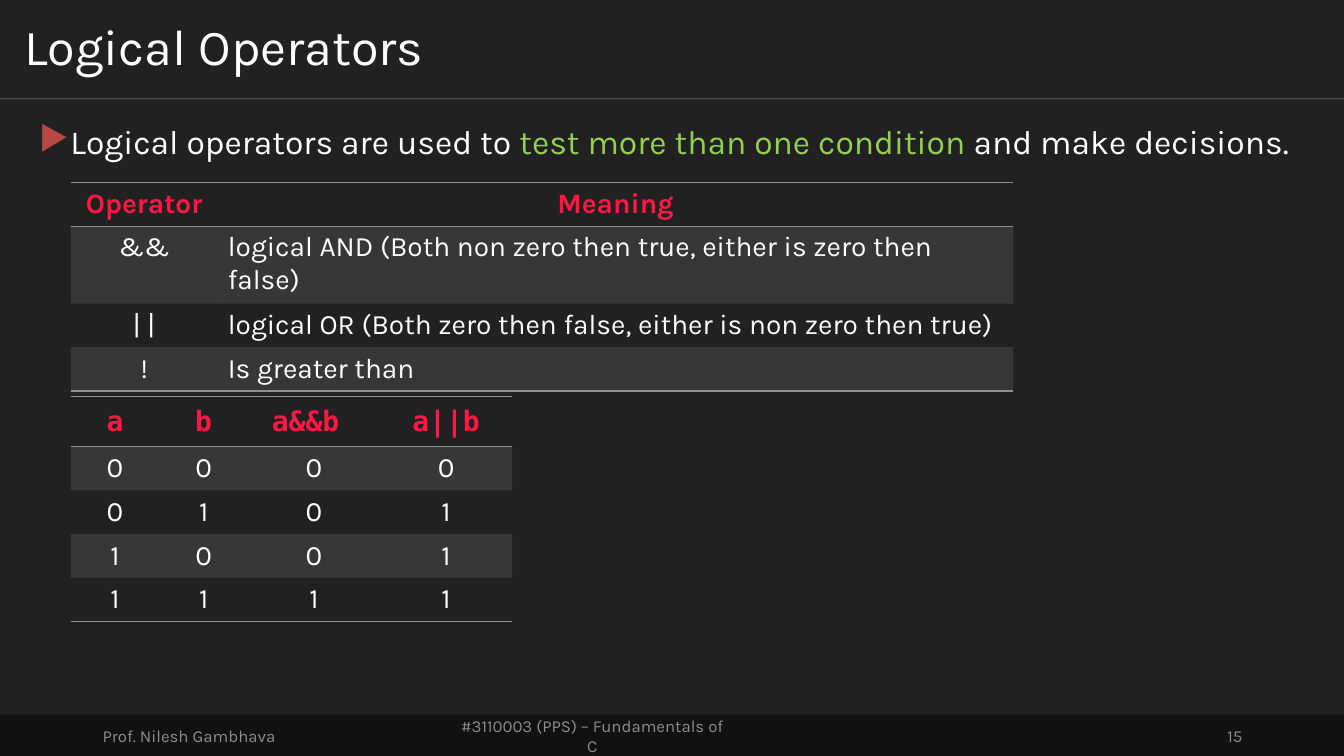
"""Build the Logical Operators slide with its meaning table and truth table."""
from dataclasses import dataclass

from lxml import etree
from pptx import Presentation
from pptx.dml.color import RGBColor
from pptx.enum.shapes import MSO_CONNECTOR, MSO_SHAPE
from pptx.enum.text import MSO_ANCHOR, PP_ALIGN
from pptx.oxml.ns import qn
from pptx.util import Pt

PX = 9144
SLIDE_W, SLIDE_H = 1333, 750
TITLE_H = 98
TITLE_ONLY = 5
BODY_FONT, CODE_FONT = "Karla", "DejaVu Sans Mono"
NO_STYLE_NO_GRID = "{2D5ABB26-0587-4C30-8999-92F81FD0307C}"

WHITE = RGBColor(0xFF, 0xFF, 0xFF)
BACKDROP = RGBColor(0x21, 0x21, 0x21)
FOOTER_BAND = RGBColor(0x11, 0x11, 0x11)
FOOTER_TEXT = RGBColor(0x8D, 0x8D, 0x8D)
HIGHLIGHT = RGBColor(0x92, 0xD0, 0x50)
BULLET = RGBColor(0xB8, 0x47, 0x42)
HEADING = RGBColor(0xFF, 0x17, 0x44)
RULE = RGBColor(0x90, 0x90, 0x90)

LEFT, CENTER, RIGHT, JUSTIFY = PP_ALIGN.LEFT, PP_ALIGN.CENTER, PP_ALIGN.RIGHT, PP_ALIGN.JUSTIFY
TOP, MIDDLE = MSO_ANCHOR.TOP, MSO_ANCHOR.MIDDLE
STRAIGHT, RECTANGLE = MSO_CONNECTOR.STRAIGHT, MSO_SHAPE.RECTANGLE


@dataclass
class Footer:
    text: str
    left: int
    width: int
    align: PP_ALIGN


@dataclass
class Grid:
    left: int
    top: int
    columns: list[int]
    heights: list[int]
    aligns: list[PP_ALIGN]
    anchor: MSO_ANCHOR
    heading_font: str
    rows: list[list[str]]


FOOTERS = [
    Footer("Prof. Nilesh Gambhava", 92, 300, LEFT),
    Footer("#3110003 (PPS) – Fundamentals of C", 442, 291, CENTER),
    Footer("15", 942, 300, RIGHT),
]

STATEMENT = [
    ("Logical operators are used to ", WHITE),
    ("test more than one condition ", HIGHLIGHT),
    ("and make decisions.", WHITE),
]

MEANINGS = Grid(70, 181, [146, 789], [41] * 4, [CENTER, LEFT], TOP, BODY_FONT, [
    ["Operator", "Meaning"],
    ["&&", "logical AND (Both non zero then true, either is zero then false)"],
    ["| |", "logical OR (Both zero then false, either is non zero then true)"],
    ["!", "Is greater than"],
])

TRUTH = Grid(70, 393, [88, 88, 131, 131], [50] + [43] * 4, [CENTER] * 4, MIDDLE, CODE_FONT, [
    ["a", "b", "a&&b ", "a||b"],
    *([str(a), str(b), str(a & b), str(a | b)] for a in (0, 1) for b in (0, 1)),
])


def format_run(run, size: int, color: RGBColor, font: str = BODY_FONT, bold: bool = False) -> None:
    run.font.size = Pt(size)
    run.font.name = font
    run.font.bold = bold
    run.font.color.rgb = color


def set_alpha(properties, percent: int) -> None:
    color = next(properties.iter(qn("a:srgbClr")))
    etree.SubElement(color, qn("a:alpha"), val=str(percent * 1000))


def add_border(cell_properties, side: str, position: int) -> None:
    border = etree.Element(qn(f"a:{side}"), w=str(Pt(1)))
    fill = etree.SubElement(border, qn("a:solidFill"))
    etree.SubElement(fill, qn("a:srgbClr"), val=str(RULE))
    cell_properties.insert(position, border)


def add_title(slide) -> None:
    title = slide.shapes.title
    title.left, title.top, title.width, title.height = 0, 0, SLIDE_W * PX, TITLE_H * PX
    frame = title.text_frame
    frame.text = "Logical Operators"
    frame.vertical_anchor = MIDDLE
    frame.margin_left = frame.margin_right = 24 * PX
    frame.margin_top = frame.margin_bottom = 12 * PX
    heading = frame.paragraphs[0]
    heading.alignment = LEFT
    heading.line_spacing = 0.9
    format_run(heading.runs[0], 36, WHITE)
    divider = slide.shapes.add_connector(STRAIGHT, 0, TITLE_H * PX, SLIDE_W * PX, TITLE_H * PX)
    divider.line.width = Pt(0.5)
    divider.line.color.rgb = WHITE
    divider_properties = divider.element.find(qn("p:spPr"))
    set_alpha(divider_properties, 30)
    etree.SubElement(divider_properties, qn("a:effectLst"))


def add_footer_band(slide) -> None:
    band = slide.shapes.add_shape(RECTANGLE, 0, 709 * PX, SLIDE_W * PX, 41 * PX)
    band.shadow.inherit = False
    band.fill.solid()
    band.fill.fore_color.rgb = FOOTER_BAND
    band.line.fill.background()


def add_footer(slide, footer: Footer) -> None:
    frame = slide.shapes.add_textbox(footer.left * PX, 710 * PX, footer.width * PX, 40 * PX).text_frame
    frame.word_wrap = True
    frame.vertical_anchor = MIDDLE
    frame.text = footer.text
    frame.paragraphs[0].alignment = footer.align
    format_run(frame.paragraphs[0].runs[0], 12, FOOTER_TEXT)


def add_statement(slide) -> None:
    frame = slide.shapes.add_textbox(29 * PX, 120 * PX, 1276 * PX, 571 * PX).text_frame
    frame.word_wrap = True
    statement = frame.paragraphs[0]
    statement.alignment = JUSTIFY
    statement.line_spacing = 0.9
    statement.space_before = Pt(10)
    for text, color in STATEMENT:
        run = statement.add_run()
        run.text = text
        format_run(run, 24, color)
    properties = statement._p.get_or_add_pPr()
    properties.set("marL", str(29 * PX))
    properties.set("indent", str(-29 * PX))
    bullet_color = etree.SubElement(properties, qn("a:buClr"))
    etree.SubElement(bullet_color, qn("a:srgbClr"), val=str(BULLET))
    etree.SubElement(properties, qn("a:buChar"), char="▶")


def add_grid(slide, grid: Grid) -> None:
    frame = slide.shapes.add_table(
        len(grid.rows), len(grid.columns), grid.left * PX, grid.top * PX,
        sum(grid.columns) * PX, sum(grid.heights) * PX)
    next(frame.element.iter(qn("a:tableStyleId"))).text = NO_STYLE_NO_GRID
    table = frame.table
    for column, width in zip(table.columns, grid.columns):
        column.width = width * PX
    last = len(grid.rows) - 1
    for r, (row, height) in enumerate(zip(grid.rows, grid.heights)):
        table.rows[r].height = height * PX
        is_heading = r == 0
        for c, text in enumerate(row):
            cell = table.cell(r, c)
            cell.text = text
            cell.vertical_anchor = grid.anchor
            paragraph = cell.text_frame.paragraphs[0]
            paragraph.alignment = CENTER if is_heading else grid.aligns[c]
            format_run(paragraph.runs[0], 20, HEADING if is_heading else WHITE,
                       grid.heading_font if is_heading else BODY_FONT, is_heading)
            properties = cell._tc.get_or_add_tcPr()
            if r % 2:
                cell.fill.solid()
                cell.fill.fore_color.rgb = RULE
                set_alpha(properties, 20)
            else:
                cell.fill.background()
            if r in (0, last):
                add_border(properties, "lnB", 0)
            if is_heading:
                add_border(properties, "lnT", 0)


def main() -> None:
    deck = Presentation()
    deck.slide_width, deck.slide_height = SLIDE_W * PX, SLIDE_H * PX
    slide = deck.slides.add_slide(deck.slide_layouts[TITLE_ONLY])
    slide.background.fill.solid()
    slide.background.fill.fore_color.rgb = BACKDROP
    add_title(slide)
    add_footer_band(slide)
    for footer in FOOTERS:
        add_footer(slide, footer)
    add_statement(slide)
    for grid in (MEANINGS, TRUTH):
        add_grid(slide, grid)
    deck.save("out.pptx")


if __name__ == "__main__":
    main()
